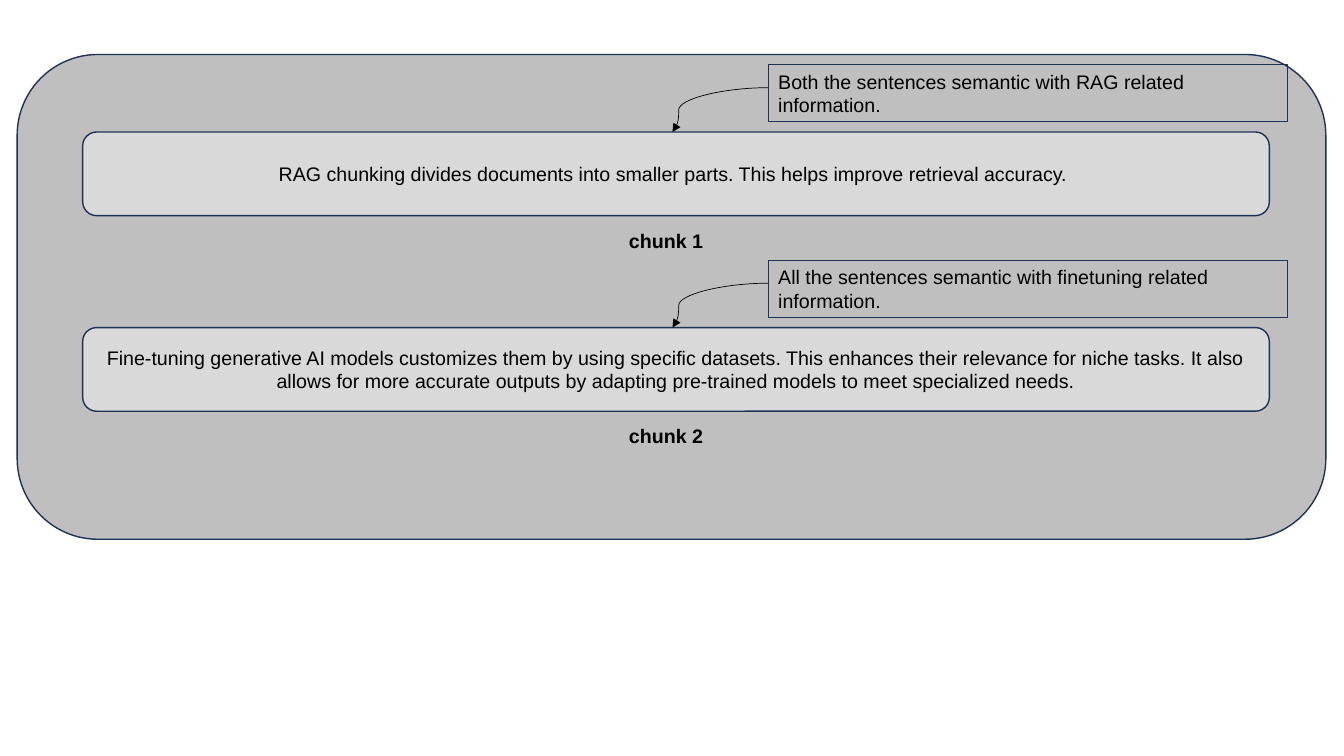
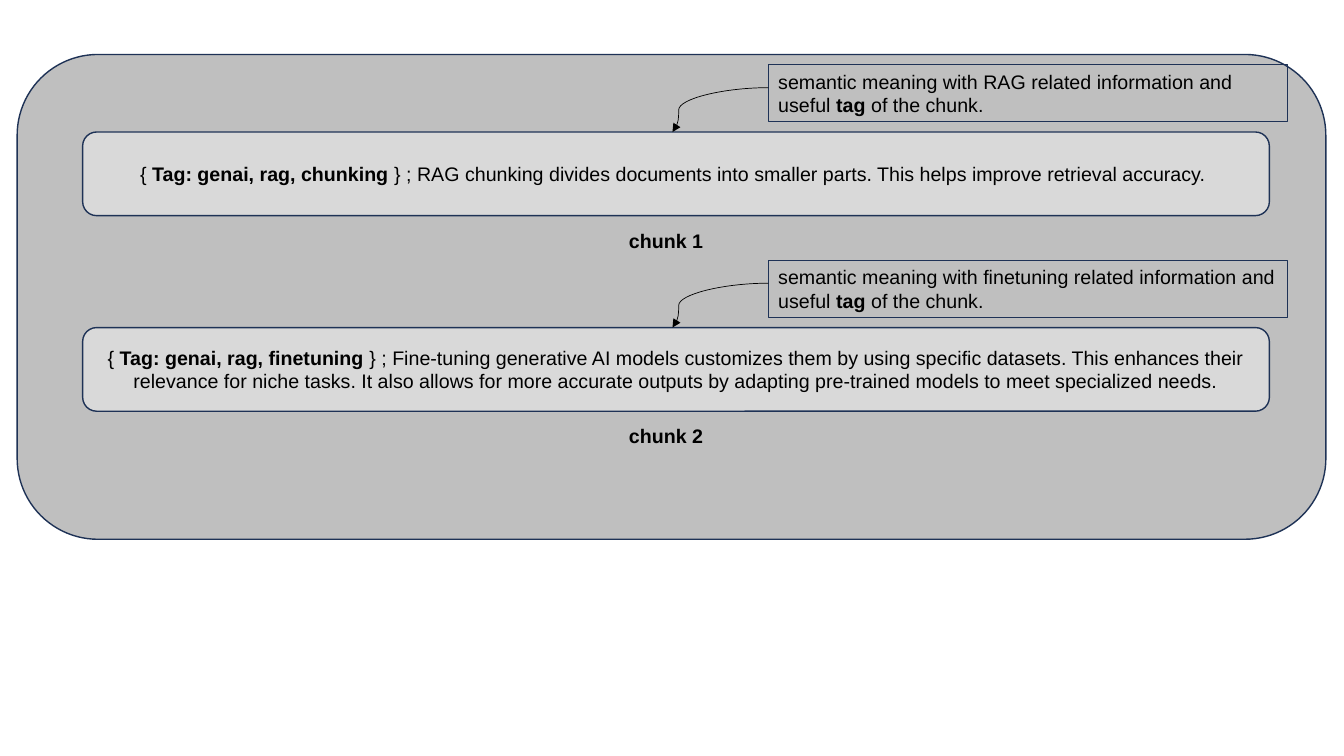
import pptx
import pptx.util
import pptx.dml.color
import pptx.enum.shapes
import pptx.enum.text
import pptx.oxml
import pptx.oxml.ns
import lxml.etree

Inches = pptx.util.Inches
Pt = pptx.util.Pt
SHAPE = pptx.enum.shapes.MSO_SHAPE
ANCHOR = pptx.enum.text.MSO_ANCHOR
ALIGN = pptx.enum.text.PP_ALIGN
FIT = pptx.enum.text.MSO_AUTO_SIZE
qn = pptx.oxml.ns.qn

COLORS = {"panel": "BFBFBF", "chunk": "D9D9D9", "outline": "1E3256", "ink": "000000"}
FONT = "Arial"

RAG_TEXT = ("RAG chunking divides documents into smaller parts. "
            "This helps improve retrieval accuracy. ")
TUNING_TEXT = ("Fine-tuning generative AI models customizes them by using specific datasets. "
               "This enhances their relevance for niche tasks. It also allows for more accurate "
               "outputs by adapting pre-trained models to meet specialized needs.")

# Each page lists its (note, chunk text) pairs; ** switches bold on and off.
PAGES = [
    [
        ("Both the sentences semantic with RAG related information.", RAG_TEXT),
        ("All the sentences semantic with finetuning related information.", TUNING_TEXT),
    ],
    [
        ("semantic meaning with RAG related information and useful **tag** of the chunk.",
         "{ **Tag: genai, rag, chunking** } ; " + RAG_TEXT),
        ("semantic meaning with finetuning related information and useful **tag** of the chunk.",
         "{ **Tag: genai, rag, finetuning **} ; " + TUNING_TEXT),
    ],
]

PANEL = (0.17, 0.54, 12.98, 4.81)
FIRST_TOP = 0.64
GROUP_STEP = 1.94
NOTE_LEFT, NOTE_WIDTH, NOTE_HEIGHT = 7.62, 5.15, 0.57
CHUNK_LEFT, CHUNK_WIDTH, CHUNK_HEIGHT = 0.82, 11.77, 0.83
LABEL_LEFT, LABEL_WIDTH, LABEL_HEIGHT = 6.14, 1.04, 0.34
CHUNK_DROP, LABEL_DROP, ARROW_DROP = 0.67, 1.58, 0.23
ARROW_END = 6.67
ARROW_BEND = 93500


def rgb(name):
    return pptx.dml.color.RGBColor.from_string(COLORS[name])


def write(shape, text, align=ALIGN.LEFT, anchor=ANCHOR.TOP, grow=False):
    """Fill a shape with one paragraph; ** toggles bold."""
    frame = shape.text_frame
    frame.word_wrap = True
    frame.vertical_anchor = anchor
    frame.auto_size = FIT.SHAPE_TO_FIT_TEXT if grow else FIT.NONE
    para = frame.paragraphs[0]
    para.alignment = align
    for index, part in enumerate(text.split("**")):
        if part:
            span = para.add_run()
            span.text = part
            span.font.name = FONT
            span.font.size = Pt(14)
            span.font.bold = index % 2 == 1
            span.font.color.rgb = rgb("ink")


def add_box(page, kind, place, fill=None, width=1):
    box = page.shapes.add_shape(kind, *map(Inches, place))
    box.shadow.inherit = False
    if fill:
        box.fill.solid()
        box.fill.fore_color.rgb = rgb(fill)
    else:
        box.fill.background()
    box.line.color.rgb = rgb("outline")
    box.line.width = Pt(width)
    return box


def add_arrow(page, start, end):
    """Draw a curved connector that bends close to its arrowhead."""
    arrow = page.shapes.add_connector(
        pptx.enum.shapes.MSO_CONNECTOR.CURVE, *map(Inches, start + end))
    arrow.line.color.rgb = rgb("ink")
    arrow.line.width = Pt(0.5)
    properties = arrow._element.spPr
    guides = properties.find(qn("a:prstGeom")).get_or_add_avLst()
    lxml.etree.SubElement(guides, qn("a:gd"), name="adj1", fmla=f"val {ARROW_BEND}")
    lxml.etree.SubElement(properties.find(qn("a:ln")), qn("a:tailEnd"), type="triangle")
    lxml.etree.SubElement(properties, qn("a:effectLst"))


def add_group(page, number, note_text, chunk_text):
    top = FIRST_TOP + (number - 1) * GROUP_STEP
    chunk_top = top + CHUNK_DROP

    note = add_box(page, SHAPE.RECTANGLE,
                   (NOTE_LEFT, top, NOTE_WIDTH, NOTE_HEIGHT), width=0.75)
    write(note, note_text, grow=True)

    label = page.shapes.add_textbox(
        *map(Inches, (LABEL_LEFT, top + LABEL_DROP, LABEL_WIDTH, LABEL_HEIGHT)))
    write(label, f"**chunk {number}**", grow=True)

    chunk = add_box(page, SHAPE.ROUNDED_RECTANGLE,
                    (CHUNK_LEFT, chunk_top, CHUNK_WIDTH, CHUNK_HEIGHT), fill="chunk")
    write(chunk, chunk_text, align=ALIGN.CENTER, anchor=ANCHOR.MIDDLE)

    add_arrow(page, (NOTE_LEFT, top + ARROW_DROP), (ARROW_END, chunk_top))


def main():
    deck = pptx.Presentation()
    deck.slide_width, deck.slide_height = Inches(13.33), Inches(7.5)
    blank = deck.slide_layouts.get_by_name("Blank")
    for groups in PAGES:
        page = deck.slides.add_slide(blank)
        add_box(page, SHAPE.ROUNDED_RECTANGLE, PANEL, fill="panel")
        for number, (note_text, chunk_text) in enumerate(groups, 1):
            add_group(page, number, note_text, chunk_text)
    deck.save("out.pptx")


if __name__ == "__main__":
    main()
